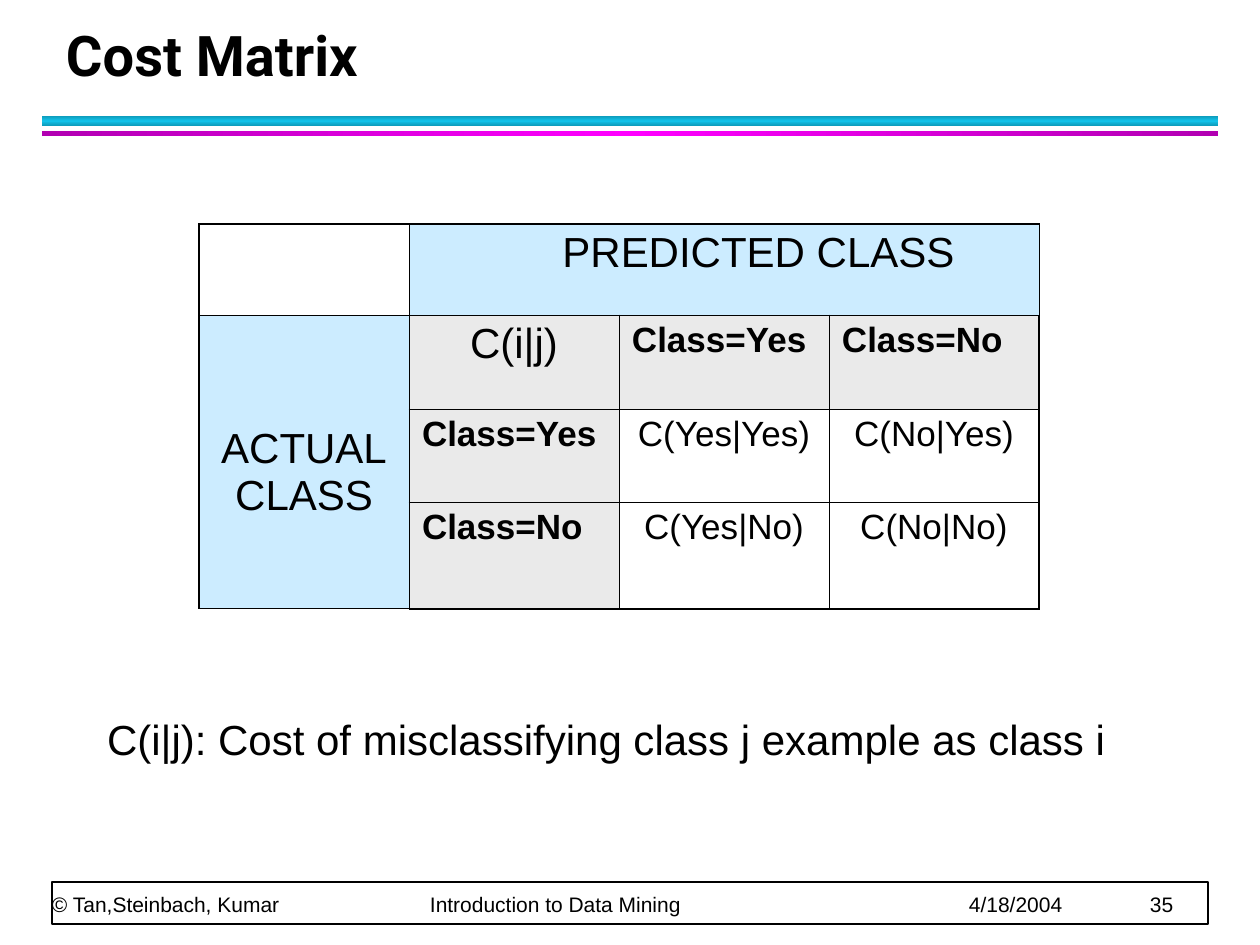
import copy

from lxml import etree
from pptx import Presentation
from pptx import util as u
from pptx.dml.color import RGBColor
from pptx.enum import shapes, text
from pptx.oxml import ns

PX = 914400 // 126
COLORS = {
    "ink": "000000",
    "paper": "FFFFFF",
    "teal": "0E9BBA",
    "cyan": "12C2E9",
    "purple": "B200B2",
    "magenta": "FF00FF",
    "class": "CCECFF",
    "label": "EAEAEA",
}
COLUMN_WIDTH = 210
ROW_HEIGHTS = [91, 94, 93, 107]
INNER, OUTER = 0.45, 1.08
LEFT, CENTER = text.PP_ALIGN.LEFT, text.PP_ALIGN.CENTER


def px(*lengths):
    return [u.Emu(length * PX) for length in lengths]


def color(name):
    return RGBColor.from_string(COLORS[name])


def set_margins(frame, margins):
    sides = ("margin_left", "margin_top", "margin_right", "margin_bottom")
    for side, length in zip(sides, px(*margins)):
        setattr(frame, side, length)


def set_font(para, size, bold=False, name="Arial"):
    para.font.name = name
    para.font.size = u.Pt(size)
    para.font.bold = bold
    para.font.color.rgb = color("ink")


def add_rectangle(page, place):
    shape = page.shapes.add_shape(shapes.MSO_SHAPE.RECTANGLE, *px(*place))
    shape.shadow.inherit = False
    return shape


def add_bar(page, place, edge, middle, angle):
    bar = add_rectangle(page, place)
    bar.line.fill.background()
    bar.fill.gradient()
    bar.fill.gradient_angle = angle
    stops = bar.element.spPr.find(".//" + ns.qn("a:gsLst"))
    stops.insert(1, copy.deepcopy(stops[0]))
    for stop, position, name in zip(bar.fill.gradient_stops, (0, 0.5, 1), (edge, middle, edge)):
        stop.position = position
        stop.color.rgb = color(name)


def add_text(page, place, words, size, margins=(13, 6, 13, 6), bold=False,
             name="Arial", anchor=text.MSO_ANCHOR.TOP, spacing=None, tabs=()):
    box = page.shapes.add_textbox(*px(*place))
    frame = box.text_frame
    frame.word_wrap = True
    frame.vertical_anchor = anchor
    set_margins(frame, margins)
    para = frame.paragraphs[0]
    para.text = words
    if spacing:
        para.line_spacing = u.Pt(spacing)
    if tabs:
        stops = etree.SubElement(para._p.get_or_add_pPr(), ns.qn("a:tabLst"))
        for position in tabs:
            etree.SubElement(stops, ns.qn("a:tab"), pos=str(position * PX), algn="l")
    set_font(para, size, bold, name)


def set_borders(cell, widths):
    properties = cell._tc.get_or_add_tcPr()
    for index, (side, width) in enumerate(zip("LRTB", widths)):
        line = etree.Element(ns.qn("a:ln" + side), w=str(u.Pt(width)))
        fill = etree.SubElement(line, ns.qn("a:solidFill"))
        etree.SubElement(fill, ns.qn("a:srgbClr"), val=COLORS["ink"])
        properties.insert(index, line)


def fill_cell(cell, words, size, align, fill, bold=False, margins=(13, 6, 13, 6)):
    set_margins(cell, margins)
    cell.fill.solid()
    cell.fill.fore_color.rgb = color(fill)
    para = cell.text_frame.paragraphs[0]
    para.text = words
    para.alignment = align
    set_font(para, size, bold)


def add_cost_table(page):
    count = len(ROW_HEIGHTS)
    place = (199, 224, count * COLUMN_WIDTH, sum(ROW_HEIGHTS))
    table = page.shapes.add_table(count, count, *px(*place)).table
    for row, height in zip(table.rows, px(*ROW_HEIGHTS)):
        row.height = height
    for column in table.columns:
        column.width = px(COLUMN_WIDTH)[0]

    last = count - 1
    for row in range(count):
        for column in range(count):
            outer = (column == 0, column == last, row == 0, row == last)
            cell = table.cell(row, column)
            cell.fill.solid()
            cell.fill.fore_color.rgb = color("paper")
            set_borders(cell, [OUTER if edge else INNER for edge in outer])

    table.cell(0, 1).merge(table.cell(0, last))
    table.cell(1, 0).merge(table.cell(last, 0))
    fill_cell(table.cell(0, 1), "PREDICTED CLASS", 24, CENTER, "class", margins=(82, 6, 13, 6))
    fill_cell(table.cell(1, 0), "ACTUAL\vCLASS", 24, CENTER, "class", margins=(13, 111, 13, 6))
    fill_cell(table.cell(1, 1), "C(i|j)", 24, CENTER, "label")

    classes = ["Yes", "No"]
    for row, actual in enumerate(classes, 2):
        label = f"Class={actual}"
        fill_cell(table.cell(1, row), label, 20, LEFT, "label", bold=True)
        fill_cell(table.cell(row, 1), label, 20, LEFT, "label", bold=True)
        for column, predicted in enumerate(classes, 2):
            fill_cell(table.cell(row, column), f"C({predicted}|{actual})", 20, CENTER, "paper")


def add_footer(page):
    frame = add_rectangle(page, (52, 882, 1156, 42))
    frame.fill.solid()
    frame.fill.fore_color.rgb = color("paper")
    frame.line.color.rgb = color("ink")
    frame.line.width = u.Pt(1)
    words = "\t".join(["© Tan,Steinbach, Kumar", "Introduction to Data Mining", "4/18/2004", "35"])
    add_text(page, (52, 847, 1153, 70), words, 12, margins=(0, 0, 0, 0),
             anchor=text.MSO_ANCHOR.BOTTOM, spacing=20, tabs=(378, 917, 1098))


def main():
    deck = Presentation()
    deck.slide_width, deck.slide_height = u.Inches(10), u.Inches(7.5)
    page = deck.slides.add_slide(deck.slide_layouts[6])
    add_bar(page, (42, 116, 1176, 10), "teal", "cyan", 90)
    add_bar(page, (42, 131, 1176, 5), "purple", "magenta", 0)
    add_footer(page)
    add_text(page, (53, 21, 1142, 73), "Cost Matrix", 32, bold=True, name="Roboto",
             anchor=text.MSO_ANCHOR.BOTTOM, spacing=36)
    add_cost_table(page)
    add_text(page, (94, 703, 1081, 126),
             "C(i|j): Cost of misclassifying class j example as class i", 24,
             margins=(13, 11, 13, 6))
    deck.save("out.pptx")


if __name__ == "__main__":
    main()
